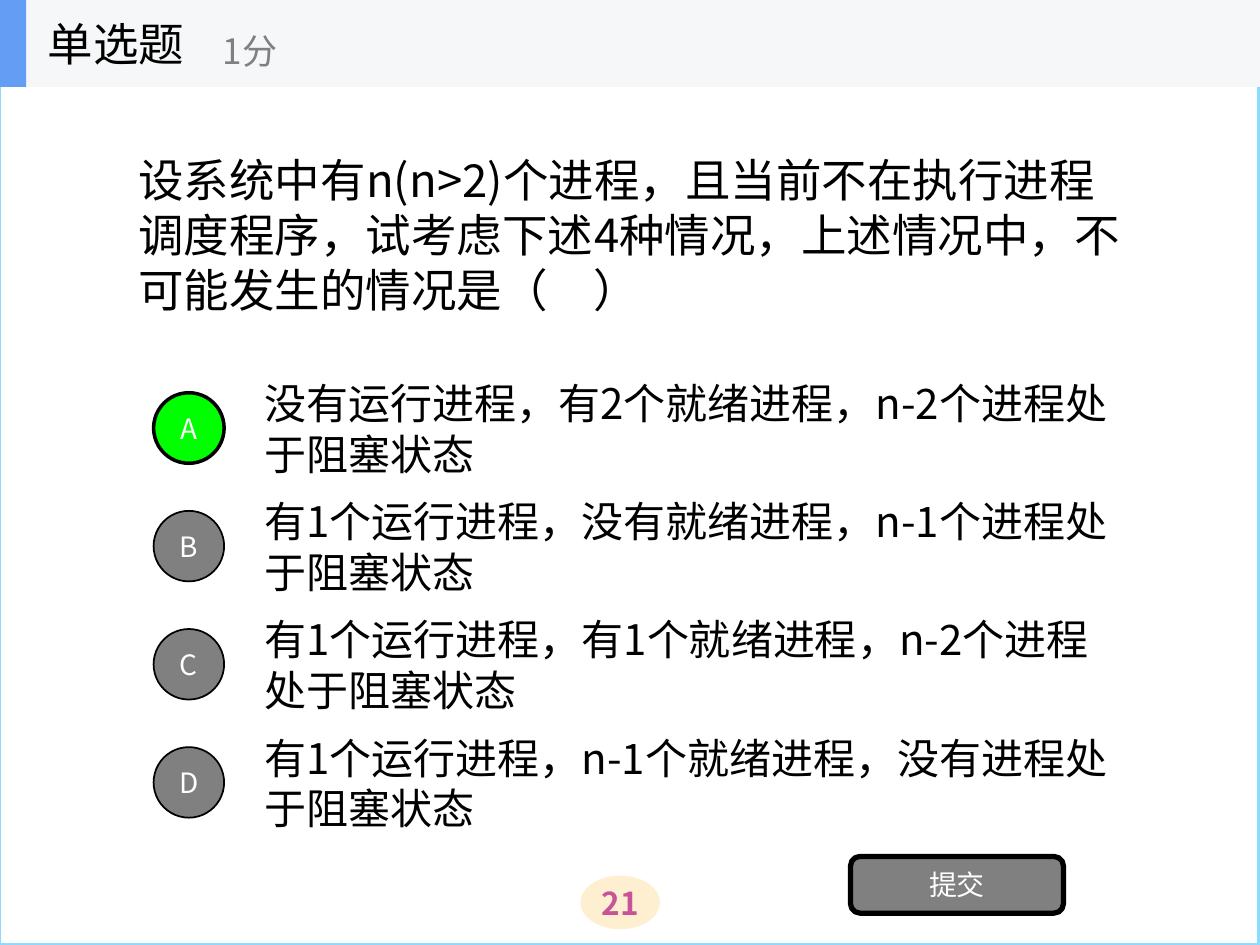
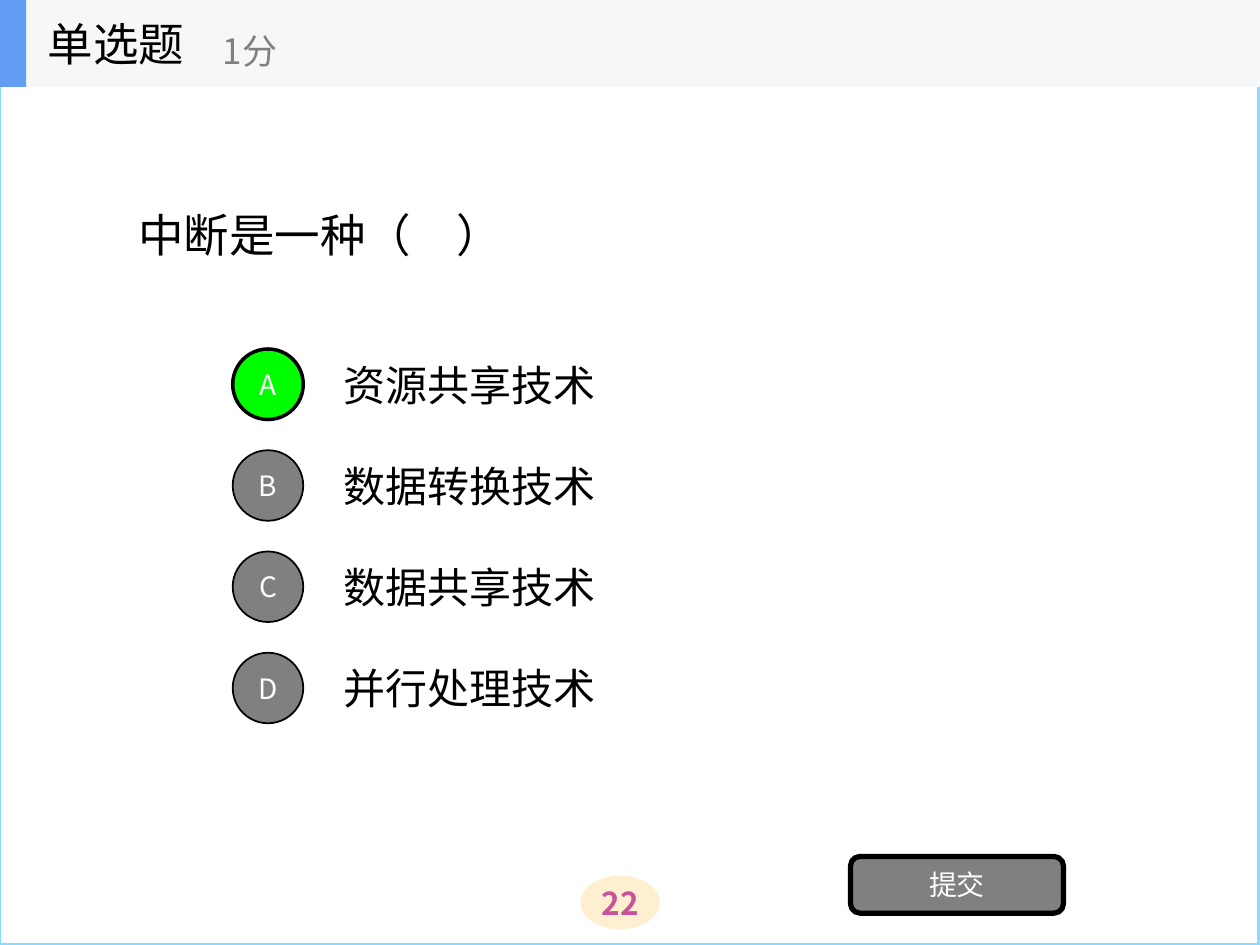
from lxml.etree import SubElement
from pptx import Presentation
from pptx.dml.color import RGBColor
from pptx.enum.shapes import MSO_SHAPE as Preset
from pptx.enum.text import MSO_ANCHOR as Anchor, MSO_AUTO_SIZE as AutoSize, PP_ALIGN as Align
from pptx.oxml.ns import qn
from pptx.util import Pt

QUESTIONS = [
    {
        "number": "21",
        "question": "设系统中有n(n>2)个进程，且当前不在执行进程调度程序，试考虑下述4种情况，"
                    "上述情况中，不可能发生的情况是（　）",
        "options": [
            "没有运行进程，有2个就绪进程，n-2个进程处于阻塞状态",
            "有1个运行进程，没有就绪进程，n-1个进程处于阻塞状态",
            "有1个运行进程，有1个就绪进程，n-2个进程处于阻塞状态",
            "有1个运行进程，n-1个就绪进程，没有进程处于阻塞状态",
        ],
        "answer": "A", "left": 144, "top": 219.4, "pitch": 67.5, "width": 504,
    },
    {
        "number": "22",
        "question": "中断是一种（　）",
        "options": ["资源共享技术", "数据转换技术", "数据共享技术", "并行处理技术"],
        "answer": "A", "left": 189.2, "top": 194.4, "pitch": 57.85, "width": 289.4,
    },
]
HEADING, SCORE, SUBMIT = "单选题", "1分", "提交"

FONT = "Noto Sans CJK SC"
BLACK, WHITE, GREY, GREEN = "000000", "FFFFFF", "808080", "00FF00"
BAND, ACCENT, FRAME = "F6F7F8", "639EF4", "8ADBFF"
BADGE, BADGE_TEXT = "FFEFD1", "C75399"

WIDTH, HEIGHT = 720, 540
BAND_HEIGHT = 49.7
OPTION_HEIGHT = 50.4
CIRCLE = 40.3
CIRCLE_OFFSET = 56.2


def color(value):
    return RGBColor.from_string(value)


def write(shape, text, size=16, fill=WHITE, align=Align.CENTER, bold=False, inset=0):
    frame = shape.text_frame
    frame.word_wrap = True
    frame.auto_size = AutoSize.NONE
    frame.vertical_anchor = Anchor.MIDDLE
    frame.margin_left = frame.margin_right = Pt(inset)
    frame.margin_top = frame.margin_bottom = Pt(inset / 2)
    paragraph = frame.paragraphs[0]
    paragraph.alignment = align
    run = paragraph.add_run()
    run.text = text
    run.font.size, run.font.bold, run.font.name = Pt(size), bold, FONT
    run.font.color.rgb = color(fill)
    SubElement(run.font._element, qn("a:ea"), typeface=FONT)


def add_text(slide, box, text, size, fill=BLACK):
    shape = slide.shapes.add_textbox(*map(Pt, box))
    write(shape, text, size, fill, Align.LEFT, inset=7.2)


def add_preset(slide, preset, box, fill=None, line=None, weight=1):
    shape = slide.shapes.add_shape(preset, *map(Pt, box))
    shape.shadow.inherit = False
    if fill:
        shape.fill.solid()
        shape.fill.fore_color.rgb = color(fill)
    else:
        shape.fill.background()
    if line:
        shape.line.color.rgb = color(line)
        shape.line.width = Pt(weight)
    else:
        shape.line.fill.background()
    return shape


def add_header(slide):
    add_preset(slide, Preset.RECTANGLE, (0, 0, WIDTH, BAND_HEIGHT), BAND)
    add_preset(slide, Preset.RECTANGLE, (0, 0, 15, BAND_HEIGHT), ACCENT)
    title = slide.shapes.title
    title.left, title.top, title.width, title.height = map(Pt, (20.2, 0, 149.8, BAND_HEIGHT))
    write(title, HEADING, 26, BLACK, Align.LEFT, inset=7.2)
    title.element.getparent().append(title.element)
    add_text(slide, (120.2, 8.7, 180, 40.3), SCORE, 20, GREY)


def add_options(slide, item):
    for index, (letter, option) in enumerate(zip("ABCD", item["options"])):
        top = item["top"] + index * item["pitch"]
        add_text(slide, (item["left"], top, item["width"], OPTION_HEIGHT), option, 24)
        correct = letter == item["answer"]
        circle_box = (item["left"] - CIRCLE_OFFSET, top + (OPTION_HEIGHT - CIRCLE) / 2,
                      CIRCLE, CIRCLE)
        circle = add_preset(slide, Preset.OVAL, circle_box, GREEN if correct else GREY,
                            BLACK, 2 if correct else 1)
        write(circle, letter)


def add_question(presentation, item):
    slide = presentation.slides.add_slide(presentation.slide_layouts[5])
    badge = add_preset(slide, Preset.OVAL, (331.7, 500.4, 45.4, 30.6), BADGE)
    write(badge, item["number"], 18, BADGE_TEXT, bold=True)
    add_preset(slide, Preset.RECTANGLE, (-0.7, 0, WIDTH, HEIGHT), line=FRAME, weight=2.25)
    add_text(slide, (72, BAND_HEIGHT, 576, 168.5), item["question"], 26)
    add_options(slide, item)
    button = add_preset(slide, Preset.ROUNDED_RECTANGLE, (486, 489.4, 121.7, 32.4),
                        GREY, BLACK, 3)
    write(button, SUBMIT)
    add_header(slide)


def main():
    """Build one slide for each single-choice question."""
    presentation = Presentation()
    presentation.slide_width, presentation.slide_height = Pt(WIDTH), Pt(HEIGHT)
    for item in QUESTIONS:
        add_question(presentation, item)
    presentation.save("out.pptx")


if __name__ == "__main__":
    main()
